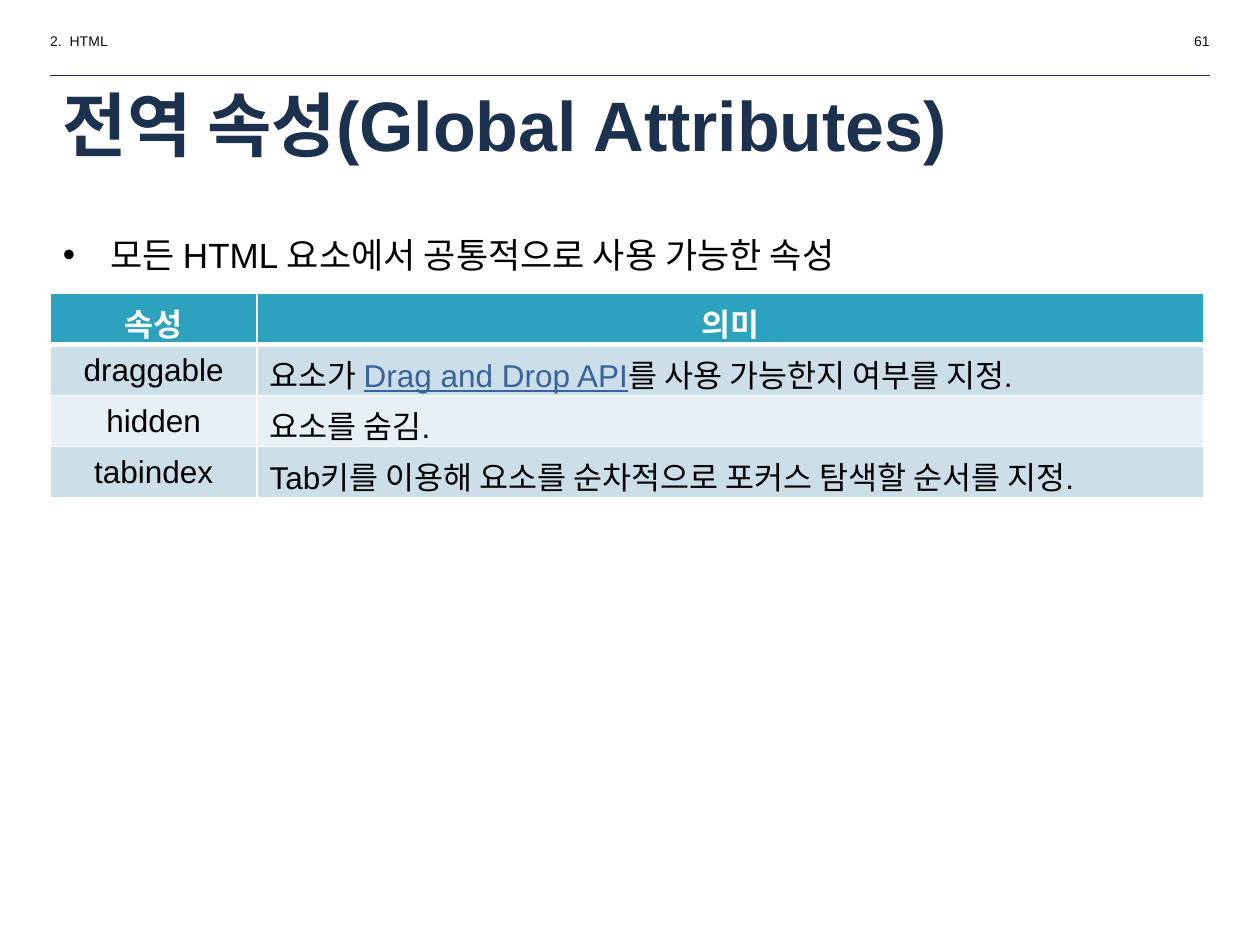
from lxml.etree import SubElement
from pptx import Presentation
from pptx.dml.color import RGBColor
from pptx.enum.shapes import MSO_CONNECTOR
from pptx.enum.text import MSO_ANCHOR, PP_ALIGN
from pptx.oxml import parse_xml
from pptx.oxml.ns import nsdecls, qn
from pptx.util import Inches, Pt

LATIN, KOREAN = "Arial", "Noto Sans CJK KR"
NAVY = RGBColor(0x1C, 0x31, 0x4E)
INK = RGBColor(0x0C, 0x0C, 0x0C)
BLACK = RGBColor(0, 0, 0)
WHITE = RGBColor(255, 255, 255)
TEAL = RGBColor(0x2D, 0xA2, 0xBF)
BANDS = RGBColor(0xCC, 0xDF, 0xE8), RGBColor(0xE7, 0xF0, 0xF4)
LINK = RGBColor(0x39, 0x63, 0x9D)

# Content
SECTION, PAGE_NUMBER = "2.  HTML", "61"
TITLE = "전역 속성(Global Attributes)"
SUMMARY = "모든 HTML 요소에서 공통적으로 사용 가능한 속성"
LINKED = "Drag and Drop API"
HEADERS = ["속성", "의미"]
ATTRIBUTES = [
    ("draggable", ["요소가\u00a0", LINKED, "를 사용 가능한지 여부를 지정."]),
    ("hidden", ["요소를 숨김."]),
    ("tabindex", ["Tab키를 이용해 요소를 순차적으로 포커스 탐색할 순서를 지정."]),
]

# Layout in inches
WIDTH, HEIGHT = 10, 7.5
MARGIN = 0.4
HEADER_TOP, HEADER_WIDTH, HEADER_HEIGHT, HEADER_INSET = 0.21, 1.73, 0.24, 0.3
RULE_TOP, TABLE_TOP, ROW_HEIGHT = 0.6, 2.33, 0.405
COLUMNS = 1.64, 7.51


def add_span(para, text, size, color, bold=False, latin=LATIN):
    span = para.add_run()
    span.text = text
    font = span.font
    font.size, font.bold, font.name = Pt(size), bold, latin
    font.color.rgb = color
    SubElement(span._r.get_or_add_rPr(), qn("a:ea"), typeface=KOREAN)
    return span


def add_text(page, area, text, size, color, bold=False,
             align=PP_ALIGN.LEFT, anchor=MSO_ANCHOR.TOP):
    frame = page.shapes.add_textbox(*map(Inches, area)).text_frame
    frame.word_wrap = True
    frame.vertical_anchor = anchor
    para = frame.paragraphs[0]
    para.alignment = align
    add_span(para, text, size, color, bold)
    return para


def style_cell(cell, fill, bottom_width):
    cell.fill.solid()
    cell.fill.fore_color.rgb = fill
    sides = [("L", 1), ("R", 1), ("T", 1), ("B", bottom_width)]
    for index, (side, width) in enumerate(sides):
        border = parse_xml(
            f'<a:ln{side} {nsdecls("a")} w="{Pt(width)}"><a:solidFill>'
            f'<a:srgbClr val="{WHITE}"/></a:solidFill></a:ln{side}>')
        cell._tc.get_or_add_tcPr().insert(index, border)


def add_attribute_table(page):
    rows = [[[header] for header in HEADERS]]
    rows += [[[name], meaning] for name, meaning in ATTRIBUTES]
    table = page.shapes.add_table(
        len(rows), len(COLUMNS), Inches(MARGIN), Inches(TABLE_TOP),
        Inches(sum(COLUMNS)), Inches(ROW_HEIGHT * len(rows))).table
    for column, width in zip(table.columns, COLUMNS):
        column.width = Inches(width)
    for r, row in enumerate(rows):
        heading = r == 0
        fill = TEAL if heading else BANDS[(r - 1) % 2]
        for c, texts in enumerate(row):
            cell = table.cell(r, c)
            style_cell(cell, fill, 3 if r == 0 else 1)
            if c == 0 and not heading:
                cell.vertical_anchor = MSO_ANCHOR.MIDDLE
            para = cell.text_frame.paragraphs[0]
            para.alignment = PP_ALIGN.CENTER if heading or c == 0 else PP_ALIGN.LEFT
            for text in texts:
                color = WHITE if heading else LINK if text == LINKED else BLACK
                span = add_span(para, text, 18, color, heading,
                                KOREAN if heading else LATIN)
                if text == LINKED:
                    span.font.underline = True


def main():
    deck = Presentation()
    deck.slide_width, deck.slide_height = Inches(WIDTH), Inches(HEIGHT)
    page = deck.slides.add_slide(deck.slide_layouts[6])

    # Running header and rule
    add_text(page, (HEADER_INSET, HEADER_TOP, HEADER_WIDTH, HEADER_HEIGHT),
             SECTION, 8, INK)
    add_text(page, (WIDTH - HEADER_INSET - HEADER_WIDTH, HEADER_TOP,
                    HEADER_WIDTH, HEADER_HEIGHT),
             PAGE_NUMBER, 8, INK, align=PP_ALIGN.RIGHT)
    rule = page.shapes.add_connector(
        MSO_CONNECTOR.STRAIGHT, Inches(MARGIN), Inches(RULE_TOP),
        Inches(WIDTH - MARGIN), Inches(RULE_TOP))
    rule.line.color.rgb = NAVY
    rule.line.width = Pt(0.75)
    SubElement(rule._element.spPr, qn("a:effectLst"))

    # Title and bulleted summary
    add_text(page, (MARGIN, 0.66, 9.15, 0.64), TITLE, 40, NAVY, True,
             anchor=MSO_ANCHOR.MIDDLE)
    summary = add_text(page, (MARGIN, 1.64, 9.5, 1.05), SUMMARY, 20, BLACK)
    summary.line_spacing = 1.5
    properties = summary._p.get_or_add_pPr()
    indent = Inches(0.38)
    properties.set("marL", str(indent))
    properties.set("indent", str(-indent))
    SubElement(properties, qn("a:buFont"), typeface=LATIN)
    SubElement(properties, qn("a:buChar"), char="•")

    add_attribute_table(page)
    deck.save("out.pptx")


if __name__ == "__main__":
    main()
